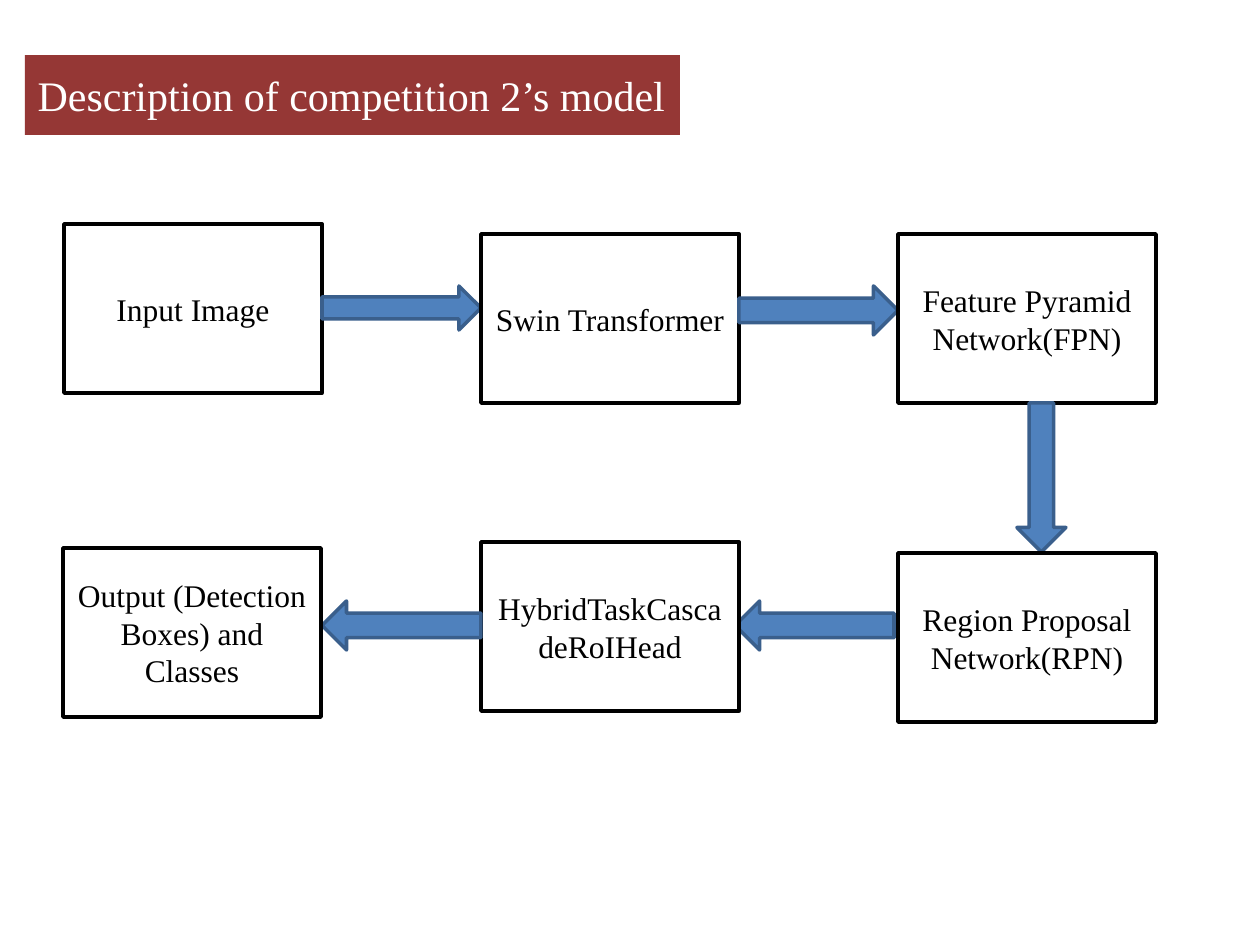
from dataclasses import dataclass

from pptx import Presentation
from pptx import util as u
from pptx.dml.color import RGBColor
from pptx.enum import shapes, text

SCALE = 914400 / 126  # EMU per px


def px(length):
    return u.Emu(round(length * SCALE))


@dataclass(frozen=True)
class Theme:
    font: str = "Times New Roman"
    title_size: int = 24
    label_size: int = 18
    line_width: int = 2
    banner: str = "953735"
    white: str = "FFFFFF"
    black: str = "000000"
    arrow_fill: str = "4F81BD"
    arrow_line: str = "3A5F8C"


def write_text(shape, words, *, font, size, color, align):
    frame = shape.text_frame
    frame.word_wrap = True
    frame.auto_size = text.MSO_AUTO_SIZE.NONE
    frame.vertical_anchor = text.MSO_ANCHOR.MIDDLE
    frame.text = words
    paragraph = frame.paragraphs[0]
    paragraph.alignment = align
    run_font = paragraph.runs[0].font
    run_font.name = font
    run_font.size = u.Pt(size)
    run_font.color.rgb = RGBColor.from_string(color)


class FlowSlide:
    def __init__(self, slide, theme):
        self.slide = slide
        self.theme = theme

    def block(self, kind, bounds, fill, line=None):
        shape = self.slide.shapes.add_shape(kind, *map(px, bounds))
        shape.shadow.inherit = False
        shape.fill.solid()
        shape.fill.fore_color.rgb = RGBColor.from_string(fill)
        if line:
            shape.line.color.rgb = RGBColor.from_string(line)
            shape.line.width = u.Pt(self.theme.line_width)
        else:
            shape.line.fill.background()
        return shape

    def title(self, words, bounds, banner_width):
        left, top, width, height = bounds
        banner = self.block(shapes.MSO_SHAPE.RECTANGLE,
                            (left, top, banner_width, height), self.theme.banner)
        title = self.slide.shapes.title
        banner._element.addnext(title._element)  # title text in front of its banner
        title.left, title.top, title.width, title.height = map(px, bounds)
        write_text(title, words, font=self.theme.font, size=self.theme.title_size,
                   color=self.theme.white, align=text.PP_ALIGN.LEFT)

    def step(self, words, left, top):
        box = self.block(shapes.MSO_SHAPE.RECTANGLE, (left, top, BOX_WIDTH, BOX_HEIGHT),
                         self.theme.white, self.theme.black)
        write_text(box, words, font=self.theme.font, size=self.theme.label_size,
                   color=self.theme.black, align=text.PP_ALIGN.CENTER)

    def arrow(self, bounds, kind=shapes.MSO_SHAPE.RIGHT_ARROW, rotation=0):
        arrow = self.block(kind, bounds, self.theme.arrow_fill, self.theme.arrow_line)
        arrow.rotation = rotation


# Grid of steps
BOX_WIDTH, BOX_HEIGHT = 258, 169
COLUMN_1, COLUMN_2, COLUMN_3 = (64 + 417 * column for column in range(3))
ARROW_LENGTH, ARROW_WIDTH = 159, 49
GAP_1, GAP_2 = COLUMN_1 + BOX_WIDTH, COLUMN_2 + BOX_WIDTH
ROW_1, ROW_1_ARROW, ROW_2_ARROW = 234, 286, 601


def main():
    presentation = Presentation()
    presentation.slide_width, presentation.slide_height = px(1260), px(945)
    slide = presentation.slides.add_slide(presentation.slide_layouts[5])
    flow = FlowSlide(slide, Theme())

    # Title on its banner
    flow.title("Description of competition 2’s model", (25, 55, 740, 80), 655)

    # Upper row, left to right
    flow.step("Input Image", COLUMN_1, 224)
    flow.arrow((GAP_1, ROW_1_ARROW, ARROW_LENGTH, 44))
    flow.step("Swin Transformer", COLUMN_2, ROW_1)
    flow.arrow((GAP_2, ROW_1_ARROW, ARROW_LENGTH, ARROW_WIDTH))
    flow.step("Feature Pyramid Network(FPN)", COLUMN_3, ROW_1)

    # Down to the lower row
    flow.arrow((1017, ROW_1 + BOX_HEIGHT, ARROW_WIDTH, 149), shapes.MSO_SHAPE.DOWN_ARROW)

    # Lower row, right to left
    flow.step("Region Proposal Network(RPN)", COLUMN_3, 553)
    flow.arrow((GAP_2 - 4, ROW_2_ARROW, ARROW_LENGTH, ARROW_WIDTH), rotation=180)
    flow.step("HybridTaskCascadeRoIHead", COLUMN_2, 542)
    flow.arrow((GAP_1, ROW_2_ARROW, ARROW_LENGTH, ARROW_WIDTH), rotation=180)
    flow.step("Output (Detection Boxes) and Classes", COLUMN_1 - 1, 548)

    presentation.save("out.pptx")


if __name__ == "__main__":
    main()
